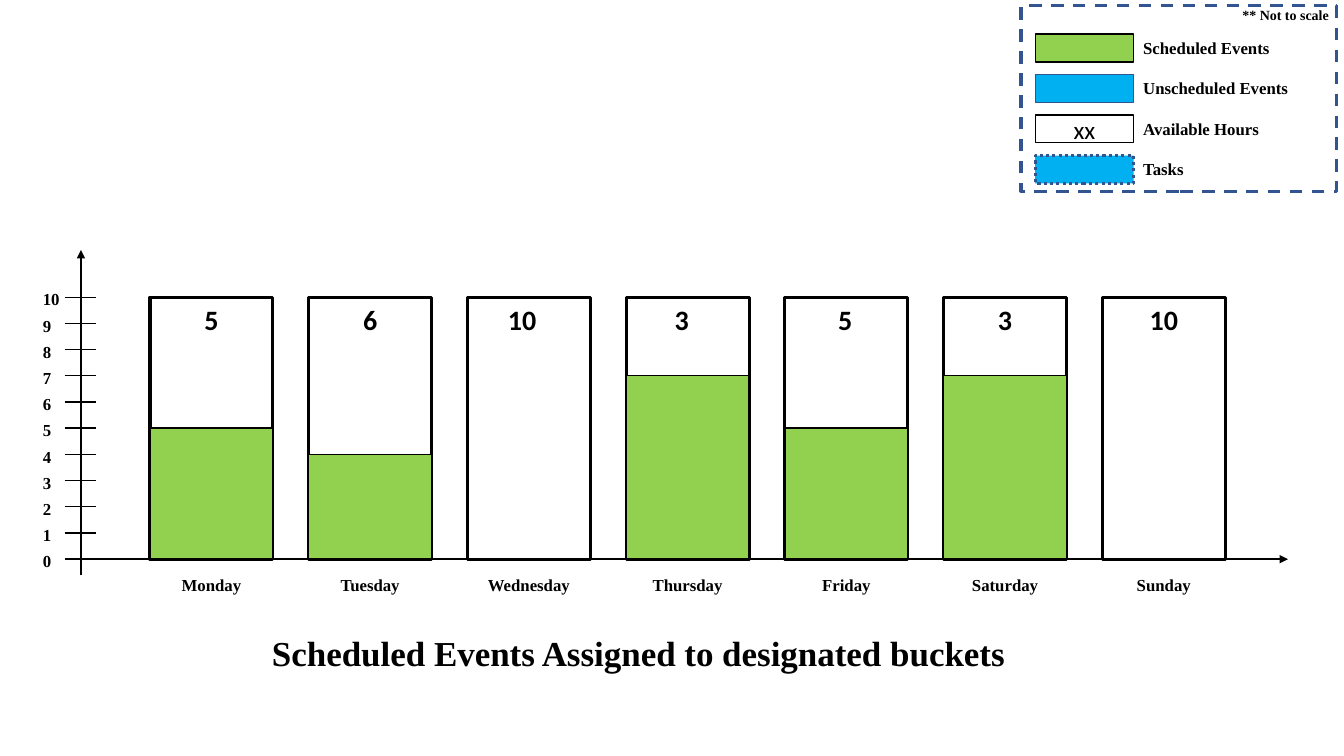
from lxml.etree import SubElement
from pptx import Presentation
from pptx.dml.color import RGBColor
from pptx.enum.dml import MSO_LINE
from pptx.enum.shapes import MSO_CONNECTOR, MSO_SHAPE
from pptx.enum.text import MSO_ANCHOR, PP_ALIGN
from pptx.oxml.ns import qn
from pptx.util import Cm, Pt

COLORS = {
    "ink": "000000",
    "scheduled": "92D050",
    "unscheduled": "00B0F0",
    "paper": "FFFFFF",
    "border": "325491",
}
SERIF, SANS = "Times New Roman", "Calibri"

# Day, scheduled hours, sideways nudge of the available-hours number in cm
DAYS = [
    ("Monday", 5, 0),
    ("Tuesday", 4, 0),
    ("Wednesday", 0, -0.17),
    ("Thursday", 7, -0.15),
    ("Friday", 5, -0.03),
    ("Saturday", 7, 0),
    ("Sunday", 0, 0),
]
# Label, fill, border, border width, dash, text inside
LEGEND = [
    ("Scheduled Events", "scheduled", "ink", 1, None, ""),
    ("Unscheduled Events", "unscheduled", "border", 1, None, ""),
    ("Available Hours", "paper", "ink", 1, None, "xx"),
    ("Tasks", "unscheduled", "border", 2.25, MSO_LINE.ROUND_DOT, ""),
]

HOURS = 10
HOUR_HEIGHT = 0.66
BASE = 14.09
AXIS_LEFT = 2.04
BAR_LEFT, BAR_WIDTH, BAR_PITCH = 3.78, 3.1, 4.0


def color(name):
    """Return the named colour."""
    return RGBColor.from_string(COLORS[name])


def level(hours):
    """Return the height on the slide, in cm, of a number of hours."""
    return BASE - hours * HOUR_HEIGHT


def write(text_frame, text, size, font=SERIF, bold=True, align=PP_ALIGN.LEFT):
    """Put one formatted line into a text frame."""
    text_frame.text = text
    paragraph = text_frame.paragraphs[0]
    paragraph.alignment = align
    run = paragraph.runs[0]
    run.font.name = font
    run.font.size = Pt(size)
    run.font.bold = bold
    run.font.color.rgb = color("ink")


def add_label(slide, text, left, top, width, height=0.76, size=12, **style):
    """Add a text box holding one line."""
    box = slide.shapes.add_textbox(Cm(left), Cm(top), Cm(width), Cm(height))
    box.text_frame.word_wrap = True
    write(box.text_frame, text, size, **style)


def add_box(slide, left, top, width, height, fill=None, border="ink",
            weight=1, dash=None):
    """Add a rectangle, unfilled unless a fill is named."""
    shape = slide.shapes.add_shape(
        MSO_SHAPE.RECTANGLE, Cm(left), Cm(top), Cm(width), Cm(height))
    shape.shadow.inherit = False
    if fill:
        shape.fill.solid()
        shape.fill.fore_color.rgb = color(fill)
    else:
        shape.fill.background()
    shape.line.color.rgb = color(border)
    shape.line.width = Pt(weight)
    if dash:
        shape.line.dash_style = dash
    return shape


def add_line(slide, start, end, weight=1, arrow=False):
    """Add a straight line, with an arrowhead at its end on request."""
    line = slide.shapes.add_connector(
        MSO_CONNECTOR.STRAIGHT, *(Cm(value) for value in start + end))
    line.line.color.rgb = color("ink")
    line.line.width = Pt(weight)
    if arrow:
        SubElement(line.line._get_or_add_ln(), qn("a:tailEnd"), type="triangle")
    SubElement(line._element.spPr, qn("a:effectLst"))


def add_axes(slide):
    """Draw both axes and the hour scale."""
    add_line(slide, (AXIS_LEFT, 14.5), (AXIS_LEFT, 6.3), 1.5, arrow=True)
    add_line(slide, (AXIS_LEFT, BASE), (32.46, BASE), 1.5, arrow=True)
    for hour in range(HOURS + 1):
        tick = level(hour)
        add_line(slide, (1.63, tick), (2.42, tick))
        add_label(slide, str(hour), 0.83, tick - 0.33, 1.04)


def add_day(slide, index, day, scheduled, nudge):
    """Draw the bucket of one day with its scheduled and available hours."""
    left = BAR_LEFT + index * BAR_PITCH
    add_box(slide, left, level(HOURS), BAR_WIDTH, HOURS * HOUR_HEIGHT,
            weight=2.25)
    if scheduled:
        add_box(slide, left, level(scheduled), BAR_WIDTH,
                scheduled * HOUR_HEIGHT, "scheduled")
    add_label(slide, str(HOURS - scheduled), left + nudge, 7.49, BAR_WIDTH,
              1.12, 20, font=SANS, align=PP_ALIGN.CENTER)
    add_label(slide, day, left - 0.25, 14.35, BAR_WIDTH + 0.5,
              align=PP_ALIGN.CENTER)


def add_legend(slide):
    """Draw the framed legend with its note."""
    for index, (label, fill, border, weight, dash, inside) in enumerate(LEGEND):
        top = 0.86 + index * 1.02
        swatch = add_box(slide, 26.09, top, 2.48, 0.7, fill, border, weight, dash)
        if inside:
            swatch.text_frame.vertical_anchor = MSO_ANCHOR.MIDDLE
            write(swatch.text_frame, inside, 18, SANS, False, PP_ALIGN.CENTER)
        add_label(slide, label, 28.56, top - 0.04, 4.5)
    add_box(slide, 25.73, 0.15, 7.95, 4.67, border="border", weight=2.25,
            dash=MSO_LINE.DASH)
    add_label(slide, "** Not to scale", 31.06, 0.05, 2.8, 0.69, 10)


def main():
    """Build the slide and save it."""
    presentation = Presentation()
    presentation.slide_width = Cm(33.87)
    presentation.slide_height = Cm(19.05)
    slide = presentation.slides.add_slide(presentation.slide_layouts[6])
    for index, day in enumerate(DAYS):
        add_day(slide, index, *day)
    add_axes(slide)
    add_label(slide, "Scheduled Events Assigned to designated buckets",
              3.96, 15.8, 24.26, 1.32, 25, align=PP_ALIGN.CENTER)
    add_legend(slide)
    presentation.save("out.pptx")


main()
